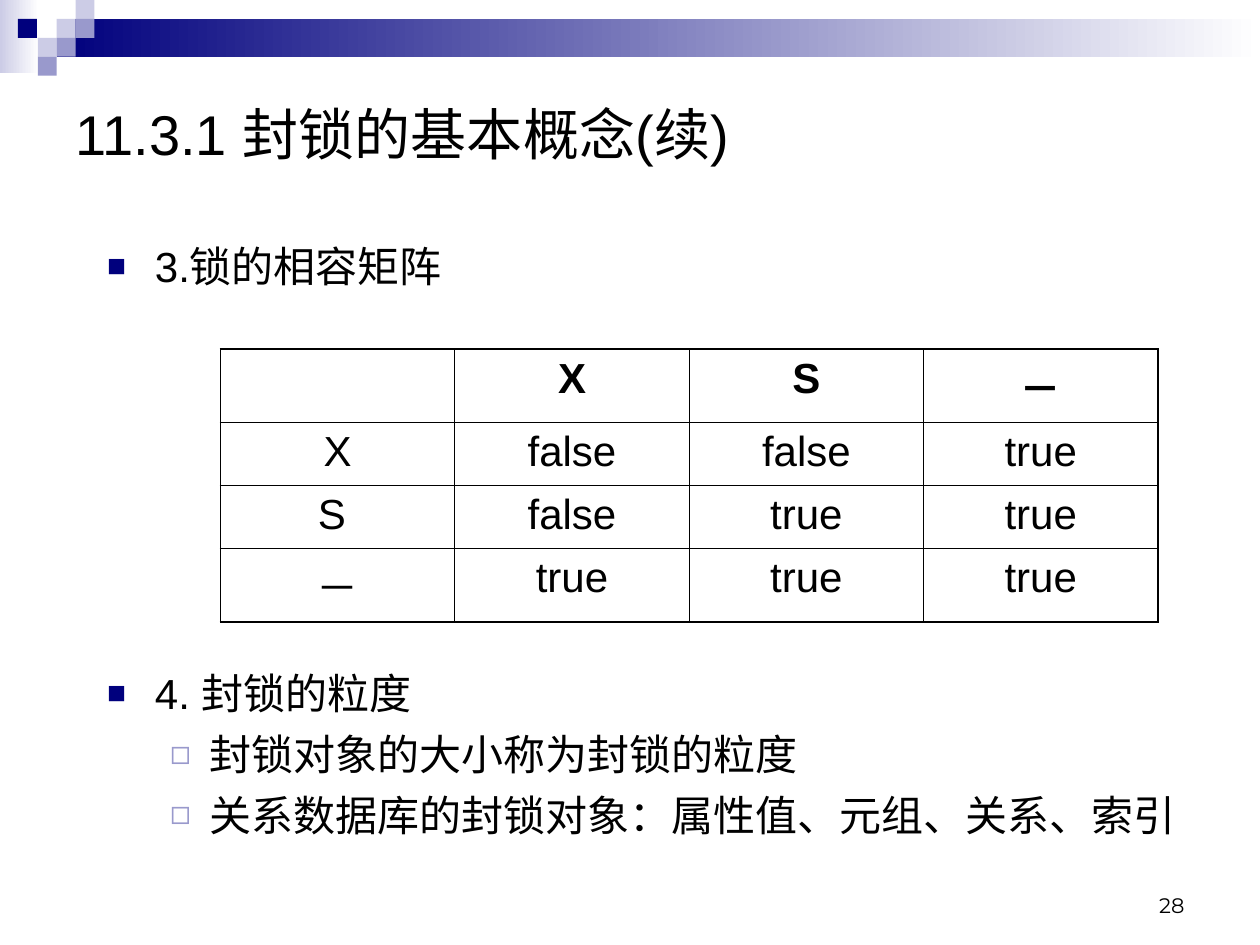
from pptx import Presentation
from pptx.dml.color import RGBColor
from pptx.enum.shapes import MSO_SHAPE
from pptx.enum.text import MSO_ANCHOR, MSO_AUTO_SIZE, PP_ALIGN
from pptx.oxml.ns import qn
from pptx.util import Inches, Pt
from lxml import etree

RECT = MSO_SHAPE.RECTANGLE
LEFT, MID, RIGHT = PP_ALIGN.LEFT, PP_ALIGN.CENTER, PP_ALIGN.RIGHT

# Content
HEX = {"navy": "00007D", "mist": "CCCCE6", "lilac": "9999CC",
       "white": "FFFFFF", "black": "000000"}
TITLE = "11.3.1 封锁的基本概念(续)"
# text, level, space before in points; the large gap holds the table
ITEMS = [("3.锁的相容矩阵", 0, 0),
         ("4. 封锁的粒度", 0, 215),
         ("封锁对象的大小称为封锁的粒度", 1, 6),
         ("关系数据库的封锁对象：属性值、元组、关系、索引", 1, 6)]
# mark, colour, size in percent, left margin, hanging indent
MARKS = [("■", "navy", 75, 0.38, 0.38), ("◻", "lilac", 80, 0.81, 0.31)]
LOCKS = [["", "X", "S", "－"],
         ["X", "false", "false", "true"],
         ["S ", "false", "true", "true"],
         ["－", "true", "true", "true"]]
PAGE = "28"

# Banner: bars as (box, from colour), squares as (column, row, colour)
UNIT = 0.15
BARS = [((0, 0, 0.31, 0.58), "mist"), ((0.45, UNIT, 9.55, 2 * UNIT), "navy")]
TILES = [(3, 1, "mist"), (4, 0, "mist"), (4, 1, "lilac"), (2, 2, "mist"),
         (0.95, 1, "navy"), (3, 2, "lilac"), (2, 3, "lilac")]
THICK, THIN = 1.08, 0.45


def rgb(name):
    return RGBColor.from_string(HEX[name])


def box(vals):
    return [Inches(v) for v in vals]


def write(para, text, size=24, font="Arial", bold=False, align=LEFT, gap=0):
    para.alignment = align
    para.space_before = Pt(gap)
    run = para.add_run()
    run.text = text
    run.font.size, run.font.name, run.font.bold = Pt(size), font, bold
    run.font.color.rgb = rgb("black")


def block(vals):
    rect = slide.shapes.add_shape(RECT, *box(vals))
    rect.shadow.inherit = False
    rect.line.fill.background()
    return rect.fill


def place(shape, vals, anchor):
    shape.left, shape.top, shape.width, shape.height = box(vals)
    frame = shape.text_frame
    frame.word_wrap = True
    frame.auto_size = MSO_AUTO_SIZE.NONE
    frame.vertical_anchor = anchor
    return frame


def mark(para, char, tint, size, left, hang):
    props = para._p.get_or_add_pPr()
    props.set("marL", str(Inches(left)))
    props.set("indent", str(-Inches(hang)))
    color = etree.SubElement(props, qn("a:buClr"))
    etree.SubElement(color, qn("a:srgbClr"), val=HEX[tint])
    etree.SubElement(props, qn("a:buSzPct"), val=str(size * 1000))
    etree.SubElement(props, qn("a:buFont"), typeface="Arial")
    etree.SubElement(props, qn("a:buChar"), char=char)


def border(cell, widths):
    props = cell._tc.get_or_add_tcPr()
    for spot, (side, width) in enumerate(widths.items()):
        line = etree.Element(qn("a:ln" + side), w=str(Pt(width)))
        fill = etree.SubElement(line, qn("a:solidFill"))
        etree.SubElement(fill, qn("a:srgbClr"), val=HEX["black"])
        props.insert(spot, line)


deck = Presentation()
deck.slide_width, deck.slide_height = Inches(10), Inches(7.5)
slide = deck.slides.add_slide(deck.slide_layouts[1])

# Banner
for vals, tint in BARS:
    fill = block(vals)
    fill.gradient()
    fill.gradient_angle = 0
    for stop, name in zip(fill.gradient_stops, (tint, "white")):
        stop.color.rgb = rgb(name)
for col, row, tint in TILES:
    fill = block((col * UNIT, row * UNIT, UNIT, UNIT))
    fill.solid()
    fill.fore_color.rgb = rgb(tint)

# Page number
note = slide.shapes.add_textbox(0, 0, 0, 0)
frame = place(note, (7.17, 6.83, 2.33, 0.5), MSO_ANCHOR.BOTTOM)
write(frame.paragraphs[0], PAGE, size=12, font="Montserrat", align=RIGHT)

# Title
frame = place(slide.shapes.title, (0.5, 0.57, 9, 0.97), MSO_ANCHOR.MIDDLE)
write(frame.paragraphs[0], TITLE, size=32)

# List
frame = place(slide.placeholders[1], (0.75, 1.86, 8.74, 5.2), MSO_ANCHOR.TOP)
for num, (text, level, gap) in enumerate(ITEMS):
    para = frame.add_paragraph() if num else frame.paragraphs[0]
    para.level = level
    mark(para, *MARKS[level])
    write(para, text, gap=gap)

# Lock table
last = len(LOCKS) - 1
table = slide.shapes.add_table(last + 1, last + 1,
                               *box((1.75, 2.77, 7.44, 2))).table
table.first_row = table.horz_banding = False
for r, line in enumerate(LOCKS):
    for c, text in enumerate(line):
        cell = table.cell(r, c)
        cell.fill.background()
        border(cell, {"L": THIN if c else THICK,
                      "R": THICK if c == last else THIN,
                      "T": THICK if r in (0, last) else THIN,
                      "B": THICK if r >= last - 1 else THIN})
        if text:
            write(cell.text_frame.paragraphs[0], text, bold=r == 0, align=MID)

deck.save("out.pptx")
